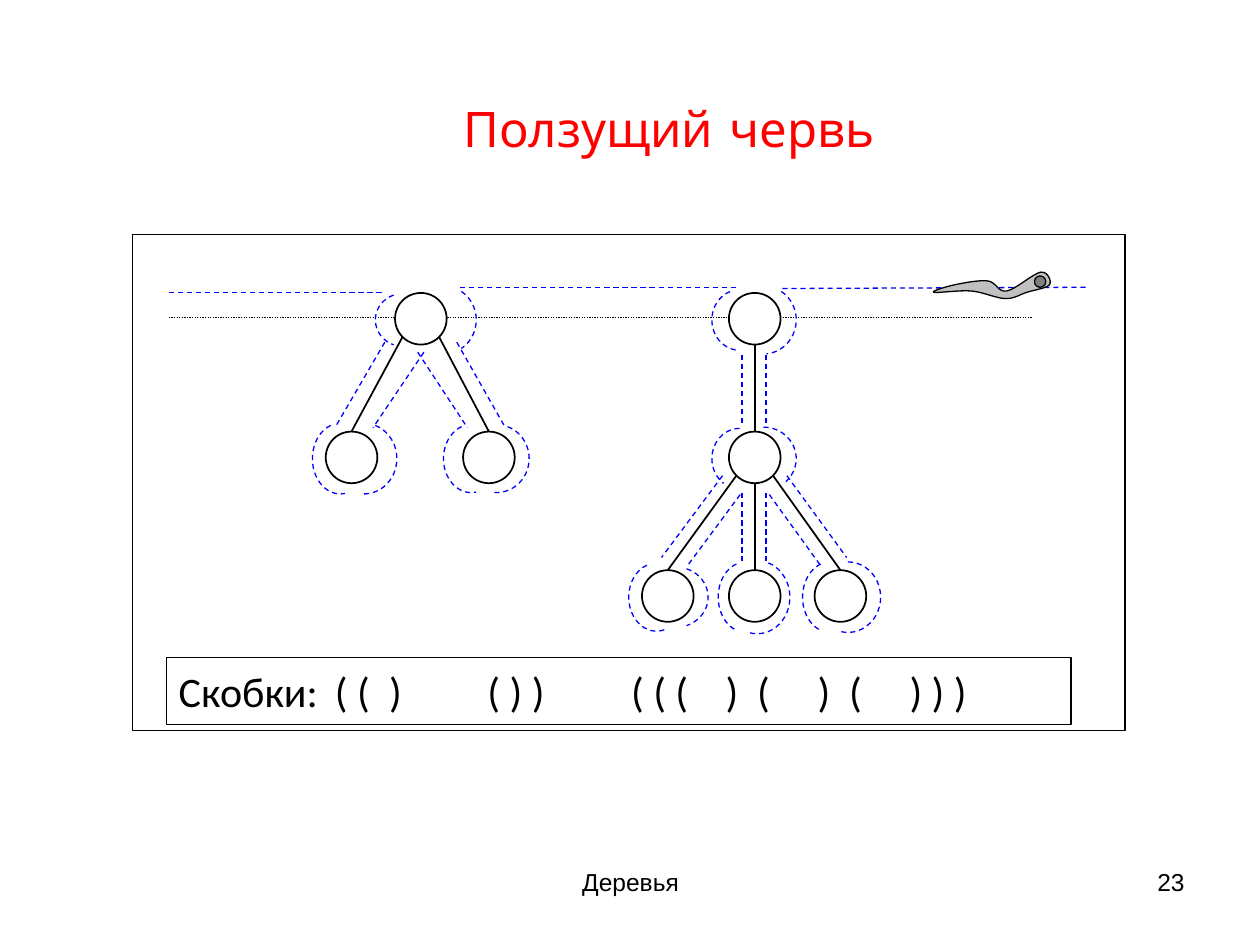
from math import cos, radians, sin

from lxml import etree
from pptx import Presentation
from pptx.dml.color import RGBColor
from pptx.enum.dml import MSO_LINE
from pptx.enum.shapes import MSO_CONNECTOR, MSO_SHAPE
from pptx.enum.text import MSO_ANCHOR, PP_ALIGN
from pptx.oxml.ns import qn
from pptx.util import Inches, Pt

LEFT, CENTER, RIGHT = PP_ALIGN.LEFT, PP_ALIGN.CENTER, PP_ALIGN.RIGHT
TOP, MIDDLE = MSO_ANCHOR.TOP, MSO_ANCHOR.MIDDLE
DASH, DOT = MSO_LINE.DASH, MSO_LINE.ROUND_DOT
RECT, OVAL = MSO_SHAPE.RECTANGLE, MSO_SHAPE.OVAL

COLORS = {"black": "000000", "white": "FFFFFF", "red": "FF0000",
          "blue": "0000FF", "silver": "C0C0C0", "gray": "808080"}

ROOT_Y, LEVEL_GAP, RADIUS = 2.53, 1.1, 0.205
NODES = {  # x of the centre, level
    "left root": (3.34, 0), "left a": (2.79, 1), "left b": (3.88, 1),
    "right root": (5.99, 0), "right mid": (5.99, 1),
    "right a": (5.3, 2), "right b": (5.99, 2), "right c": (6.67, 2),
}
EDGES = [  # parent, child, side on which the edge leaves the parent
    ("left root", "left a", -1), ("left root", "left b", 1),
    ("right root", "right mid", 0), ("right mid", "right a", -1),
    ("right mid", "right b", 0), ("right mid", "right c", 1),
]
# Shift of the trail from a slanted edge: top x, top y, bottom x, bottom y
TRAIL_SHIFTS = {
    "left root": [(0.14, 0.04, 0.12, -0.05), (-0.17, 0.12, -0.17, -0.03)],
    "right mid": [(0.11, 0, 0.05, -0.1), (-0.03, 0.15, -0.16, -0.04)],
}
UPRIGHT_SHIFTS = [(dx, 0.08, dx, -0.07) for dx in (-0.1, 0.09)]
TRAIL_LEVELS = [(1.34, 2.32, 3.04, 2.32), (3.65, 2.28, 5.85, 2.28), (6.21, 2.29, 8.62, 2.28)]

# Left and right arc of each node: reach from the centre, height radius,
# start and end angle in degrees from the top
ARC_WIDTHS = {-1: 0.22, 1: 0.26}
ARCS = {
    "left root": [(0.36, 0.21, 20, 160), (0.44, 0.27, 33, 147)],
    "left a": [(0.31, 0.28, 20, 190), (0.36, 0.28, 20, 184)],
    "left b": [(0.36, 0.27, 20, 190), (0.32, 0.27, 20, 184)],
    "right root": [(0.34, 0.24, 20, 178), (0.33, 0.27, 33, 175)],
    "right mid": [(0.34, 0.24, 0, 145), (0.33, 0.25, 0, 137)],
    "right a": [(0.31, 0.27, 20, 197), (0.32, 0.24, 20, 160)],
    "right b": [(0.29, 0.28, 20, 163), (0.28, 0.29, 20, 195)],
    "right c": [(0.3, 0.28, 20, 162), (0.32, 0.28, 0, 194)],
}
WORM = [(7.41, 2.32), (7.58, 2.26), (7.84, 2.23), (7.99, 2.31), (8.26, 2.16),
        (8.33, 2.26), (8.15, 2.32), (7.98, 2.37), (7.71, 2.31)]

BRACKETS = [  # tab stop, text
    (0, "Скобки:"), (1.24, "( ("), (1.67, ")"), (2.45, "( ) )"), (3.59, "( ( ("),
    (4.34, ")"), (4.59, "("), (5.07, ")"), (5.32, "("), (5.8, ") ) )"),
]


def rgb(name):
    return RGBColor.from_string(COLORS[name])


def set_line(line, color, width, dash):
    line.color.rgb = rgb(color)
    line.width = Pt(width)
    if dash is not None:
        line.dash_style = dash


def style(sp, fill=None, color="black", width=0.75, dash=None):
    sp.shadow.inherit = False
    if fill:
        sp.fill.solid()
        sp.fill.fore_color.rgb = rgb(fill)
    else:
        sp.fill.background()
    set_line(sp.line, color, width, dash)
    return sp


def add_shape(s, kind, box, fill=None, width=0.75):
    return style(s.shapes.add_shape(kind, *map(Inches, box)), fill, width=width)


def add_line(s, ends, color="black", width=0.75, dash=None):
    sp = s.shapes.add_connector(MSO_CONNECTOR.STRAIGHT, *map(Inches, ends))
    set_line(sp.line, color, width, dash)
    etree.SubElement(sp._element.spPr, qn("a:effectLst"))


def add_outline(s, points, close=False, **look):
    points = [(Inches(x), Inches(y)) for x, y in points]
    fb = s.shapes.build_freeform(*points[0])
    fb.add_line_segments(points[1:], close=close)
    style(fb.convert_to_shape(), **look)


def write(sp, text, size=14, font="Arial", color="black", align=LEFT, anchor=TOP, tabs=()):
    tf = sp.text_frame
    tf.word_wrap = True
    tf.vertical_anchor = anchor
    p = tf.paragraphs[0]
    p.alignment = align
    r = p.add_run()
    r.text = text
    r.font.size, r.font.name = Pt(size), font
    r.font.color.rgb = rgb(color)
    if tabs:
        stops = etree.SubElement(p._p.get_or_add_pPr(), qn("a:tabLst"))
        for pos in tabs:
            etree.SubElement(stops, qn("a:tab"), pos=str(Inches(pos)), algn="l")


def add_text(s, box, text, **fmt):
    write(s.shapes.add_textbox(*map(Inches, box)), text, **fmt)


def center(node):
    x, level = NODES[node]
    return x, ROOT_Y + level * LEVEL_GAP


def edge_ends(parent, child, side):
    (px, py), (cx, cy) = center(parent), center(child)
    drop = RADIUS * 0.71 if side else RADIUS
    return px + side * drop, py + drop, cx, cy - RADIUS


def trail_beside(parent, child, side):
    """Yield the two dashed lines that run along an edge."""
    x1, y1, x2, y2 = edge_ends(parent, child, side)
    for dx1, dy1, dx2, dy2 in TRAIL_SHIFTS[parent] if side else UPRIGHT_SHIFTS:
        turn = side or 1
        yield x1 + turn * dx1, y1 + dy1, x2 + turn * dx2, y2 + dy2


def arc_points(node, side, reach, ry, start, end, steps=24):
    x, y = center(node)
    rx = ARC_WIDTHS[side]
    angles = [radians(start + (end - start) * n / steps) for n in range(steps + 1)]
    return [(x + side * (reach - rx + rx * sin(a)), y + 0.01 - ry * cos(a)) for a in angles]


def smooth_loop(knots, steps=8):
    """Closed Catmull-Rom curve through the knots."""
    points = []
    for i in range(len(knots)):
        a, b, c, d = (knots[(i + k) % len(knots)] for k in (-1, 0, 1, 2))
        for n in range(steps):
            t = n / steps
            points.append(tuple(
                q + t * (r - p + t * (2 * p - 5 * q + 4 * r - u + t * (3 * q - p - 3 * r + u))) / 2
                for p, q, r, u in zip(a, b, c, d)))
    return points


def main():
    prs = Presentation()
    prs.slide_width, prs.slide_height = Inches(10), Inches(7.5)
    s = prs.slides.add_slide(prs.slide_layouts[6])

    add_text(s, (0.81, 0.39, 9, 1.25), "Ползущий червь", size=28, font="Comic Neue",
             color="red", align=CENTER, anchor=MIDDLE)
    add_text(s, (3.42, 6.83, 3.17, 0.52), "Деревья", align=CENTER)
    add_text(s, (7.17, 6.83, 2.33, 0.52), "23", align=RIGHT)

    add_shape(s, RECT, (1.05, 1.86, 7.88, 3.94))
    add_line(s, (1.34, 2.52, 8.19, 2.52), dash=DOT)
    for node in NODES:
        x, y = center(node)
        add_shape(s, OVAL, (x - RADIUS, y - RADIUS, 2 * RADIUS, 2 * RADIUS), "white", 1)
    for edge in EDGES:
        add_line(s, edge_ends(*edge), width=1)

    trail = TRAIL_LEVELS + [ends for edge in EDGES for ends in trail_beside(*edge)]
    for ends in trail:
        add_line(s, ends, color="blue", dash=DASH)
    for node, arcs in ARCS.items():
        for side, arc in zip(ARC_WIDTHS, arcs):
            add_outline(s, arc_points(node, side, *arc), color="blue", dash=DASH)
    add_outline(s, smooth_loop(WORM), close=True, fill="silver")
    add_shape(s, OVAL, (8.21, 2.19, 0.09, 0.09), "gray")

    write(add_shape(s, RECT, (1.32, 5.22, 7.18, 0.53), "white"),
          "\t".join(text for _, text in BRACKETS), size=24, font="Calibri",
          anchor=MIDDLE, tabs=[pos for pos, _ in BRACKETS[1:]])
    prs.save("out.pptx")


if __name__ == "__main__":
    main()
